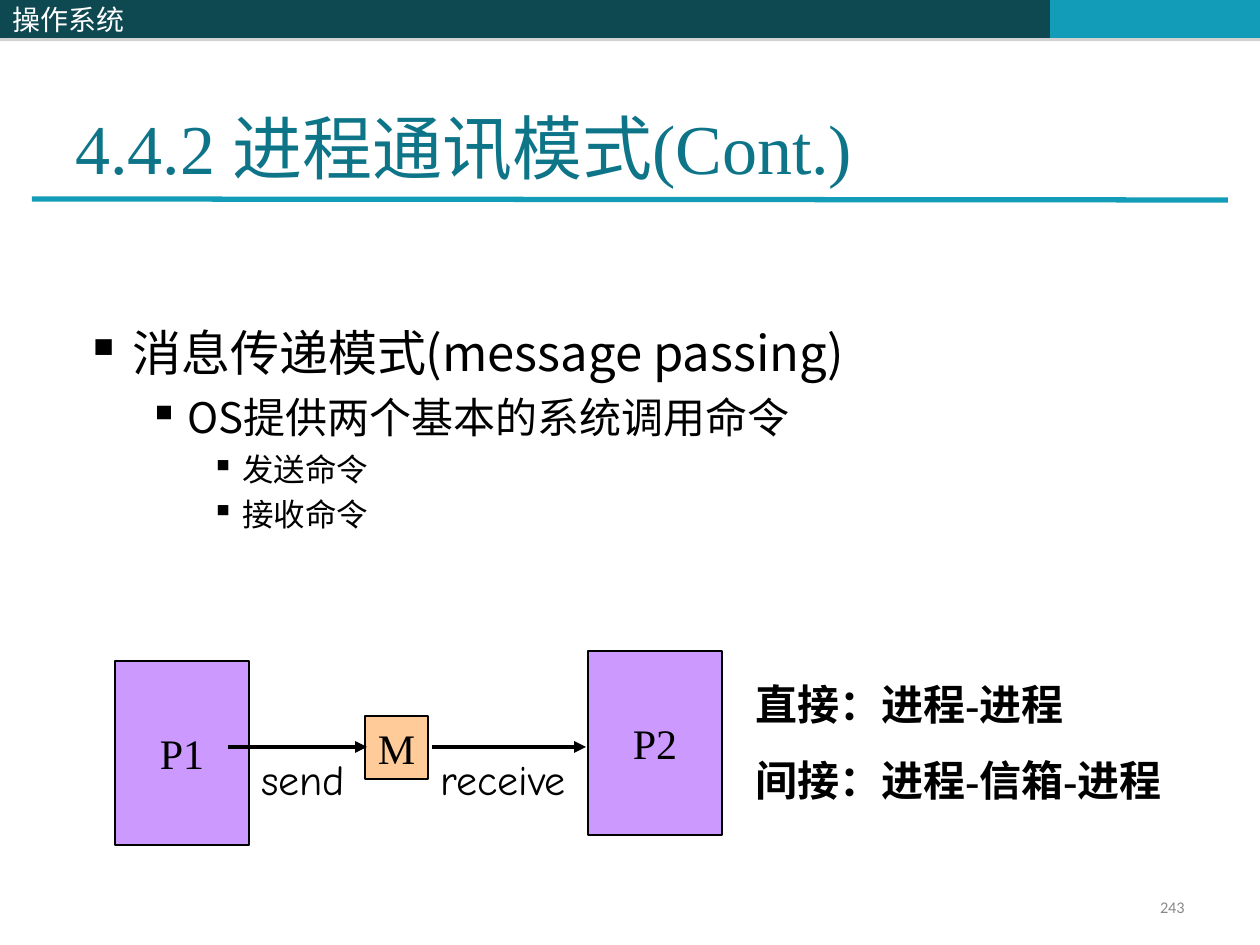
from pptx import Presentation
from pptx.dml.color import RGBColor
from pptx.enum.shapes import MSO_CONNECTOR as CONN, MSO_SHAPE as SHAPE
from pptx.enum.text import MSO_ANCHOR as ANCHOR, PP_ALIGN as ALIGN
from pptx.oxml.ns import qn
from pptx.util import Emu, Pt
from lxml.etree import SubElement

THEME = {
    "dark": "0E4851", "teal": "139CB7", "title": "0E7589", "ink": "000000",
    "white": "FFFFFF", "grey": "898989", "shadow": "808080",
    "process": "CC99FF", "message": "FFCC99",
    "serif": "Times New Roman", "cjk": "Noto Sans CJK SC",
    "hand": "Comic Neue", "sans": "Calibri",
    "title_pt": 40, "body_pt": (28, 24, 18), "label_pt": 24,
    "header_pt": 16, "number_pt": 9.3,
}
SCALE = 914400 / 126


def px(*values):
    return [Emu(round(v * SCALE)) for v in values]


def write(sp, text, size, font="serif", color="ink", bold=False, align=ALIGN.LEFT,
          anchor=ANCHOR.TOP, wrap=True, before=0, spacing=1.0, level=0, bullet=None):
    """Write one paragraph; bullet is (left margin, hanging indent) in px."""
    tf = sp.text_frame
    tf.word_wrap, tf.vertical_anchor = wrap, anchor
    p = tf.add_paragraph() if tf.text else tf.paragraphs[0]
    p.alignment, p.level, p.line_spacing = align, level, spacing
    p.space_before = Pt(before)
    if bullet:
        pPr = p._p.get_or_add_pPr()
        left, hang = px(*bullet)
        pPr.set("marL", str(left))
        pPr.set("indent", str(-hang))
        SubElement(pPr, qn("a:buChar"), char="▪")
    r = p.add_run()
    r.text = text
    r.font.size, r.font.bold, r.font.name = Pt(size), bold, THEME[font]
    r.font.color.rgb = RGBColor.from_string(THEME[color])
    SubElement(r._r.rPr, qn("a:ea"), typeface=THEME["cjk"])


prs = Presentation()
prs.slide_width, prs.slide_height = px(1260, 945)
s = prs.slides.add_slide(prs.slide_layouts[6])

# Header band with a thin shadow
for x, w, color, text in [(514, 536, "dark", ""), (1050, 210, "teal", ""),
                          (0, 514, "dark", "操作系统")]:
    sp = s.shapes.add_shape(SHAPE.RECTANGLE, *px(x, 0, w, 38))
    sp.fill.solid()
    sp.fill.fore_color.rgb = RGBColor.from_string(THEME[color])
    sp.line.fill.background()
    effects = SubElement(sp._element.spPr, qn("a:effectLst"))
    shadow = SubElement(effects, qn("a:outerShdw"), blurRad="0", dist=str(Pt(1.8)),
                        dir="5400000", algn="ctr", rotWithShape="0")
    tint = SubElement(shadow, qn("a:srgbClr"), val=THEME["shadow"])
    SubElement(tint, qn("a:alpha"), val="35000")
    if text:
        write(sp, text, THEME["header_pt"], font="cjk", color="white", anchor=ANCHOR.MIDDLE)

# Slide number and title
sp = s.shapes.add_textbox(*px(903, 892, 294, 34))
write(sp, "243", THEME["number_pt"], font="sans", color="grey", align=ALIGN.RIGHT,
      anchor=ANCHOR.MIDDLE, spacing=0.8)
sp = s.shapes.add_textbox(*px(63, 38, 1134, 157))
write(sp, "4.4.2 进程通讯模式(Cont.)", THEME["title_pt"], color="title", anchor=ANCHOR.BOTTOM)

# Bulleted outline
INDENTS = [(47, 47), (102, 39), (157, 31)]
sp = s.shapes.add_textbox(*px(73, 305, 1239, 234))
for level, text in [(0, "消息传递模式(message passing)"), (1, "OS提供两个基本的系统调用命令"),
                    (2, "发送命令"), (2, "接收命令")]:
    write(sp, text, THEME["body_pt"][level], font="cjk", spacing=1.2,
          level=level, bullet=INDENTS[level])

# Processes and the message between them
for text, x, y, w, h, color in [("P1", 115, 661, 134, 184, "process"),
                                ("P2", 588, 651, 134, 184, "process"),
                                ("M", 365, 716, 63, 63, "message")]:
    sp = s.shapes.add_shape(SHAPE.RECTANGLE, *px(x, y, w, h))
    sp.shadow.inherit = False
    sp.fill.solid()
    sp.fill.fore_color.rgb = RGBColor.from_string(THEME[color])
    sp.line.color.rgb = RGBColor.from_string(THEME["ink"])
    sp.line.width = Pt(0.75)
    write(sp, text, THEME["label_pt"], align=ALIGN.CENTER, anchor=ANCHOR.MIDDLE, wrap=False)

# Title rule and the two arrows
for x1, y1, x2, y2, color, width, arrow in [(32, 199, 1228, 200, "teal", 3, False),
                                            (228, 747, 367, 747, "ink", 2.25, True),
                                            (432, 747, 586, 747, "ink", 2.25, True)]:
    line = s.shapes.add_connector(CONN.STRAIGHT, *px(x1, y1, x2, y2))
    line.line.color.rgb = RGBColor.from_string(THEME[color])
    line.line.width = Pt(width)
    if arrow:
        SubElement(line.line._get_or_add_ln(), qn("a:tailEnd"), type="triangle")
    SubElement(line._element.spPr, qn("a:effectLst"))

# Arrow labels
for text, x, w in [("send", 249, 116), ("receive", 428, 179)]:
    sp = s.shapes.add_textbox(*px(x, 747, w, 63))
    write(sp, text, THEME["label_pt"], font="hand")

# Direct and indirect communication
sp = s.shapes.add_textbox(*px(743, 672, 451, 190))
for text, before in [("直接：进程-进程", 0), ("间接：进程-信箱-进程", 15)]:
    write(sp, text, THEME["label_pt"], bold=True, before=before)

prs.save("out.pptx")
